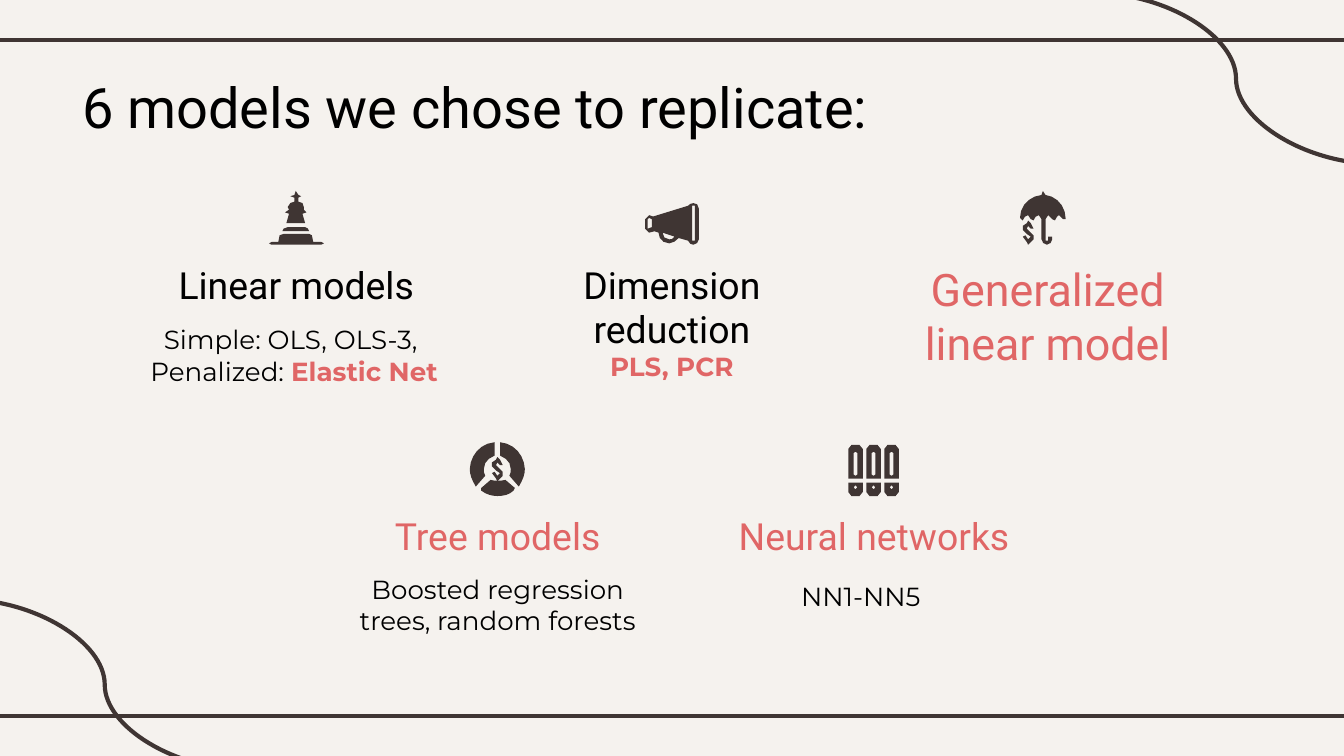
from pptx import Presentation
from pptx.dml.color import RGBColor
from pptx.enum.shapes import MSO_CONNECTOR
from pptx.enum.text import MSO_ANCHOR, MSO_AUTO_SIZE, PP_ALIGN
from pptx.oxml.ns import qn
from pptx.util import Cm, Pt

STRAIGHT, CURVE = MSO_CONNECTOR.STRAIGHT, MSO_CONNECTOR.CURVE
LEFT, CENTER = PP_ALIGN.LEFT, PP_ALIGN.CENTER
COLORS = {"paper": "F5F2EE", "ink": "3F3533", "text": "000000", "accent": "E06666"}
RGB = {name: RGBColor.from_string(value) for name, value in COLORS.items()}
TITLE = {"name": "Roboto", "size": Pt(30), "bold": False}
HEADING = {"name": "Roboto", "size": Pt(20), "bold": False}
LARGE = {"name": "Roboto", "size": Pt(24), "bold": False}
BODY = {"name": "Montserrat", "size": Pt(14), "bold": False}
STRONG = {"name": "Montserrat", "size": Pt(14), "bold": True}
FRAME = {"word_wrap": True, "auto_size": MSO_AUTO_SIZE.NONE, "vertical_anchor": MSO_ANCHOR.TOP,
         "margin_left": Cm(0.25), "margin_right": Cm(0.25),
         "margin_top": Cm(0.25), "margin_bottom": Cm(0.25)}
UNIT = Cm(2.54) / 100  # icon outlines: x from the icon's centre, y from its top

# Icon outlines: M move, L line, C cubic curve, Z close
KING = (
    "M -9 32 L -12 33 L -13 38 L -18 38 L -20 39 L -18 40 L 19 40 L 21 39 L 19 38 L 13 38 L 12 33 L 10 32 Z "
    "M 0 0 L -1 3 L -4 4 L -1 5 L -1 8 L -4 9 L -6 12 L -5 14 L -8 16 L -5 17 L -7 24 "
    "L 7 24 L 5 17 L 8 16 L 6 14 L 6 12 L 5 9 L 2 8 L 2 5 L 4 4 L 2 3 Z "
    "M -6 27 L -9 28 L -10 30 L 10 30 L 9 28 L 7 27 Z")
MEGAPHONE = (
    "M -17 20 L -15 21 L -15 27 L -18 28 L -18 21 Z "
    "M -7 31 L 2 34 C 1 36 -1 36 -2 36 C -5 36 -7 34 -7 31 Z "
    "M 15 11 L 17 11 L 17 37 L 15 37 Z "
    "M 16 9 C 14 9 13 10 12 11 L -14 19 L -17 18 C -19 18 -20 19 -20 21 L -20 28 "
    "C -20 30 -19 31 -17 31 L -13 30 L -10 31 C -10 35 -7 39 -2 39 C 1 39 3 37 5 35 L 12 37 "
    "C 13 39 14 40 16 40 C 18 40 20 38 20 36 L 20 13 C 20 10 18 9 16 9 Z")
UMBRELLA = (
    "M 0 0 L -1 3 C -10 4 -17 11 -17 20 L -15 22 C -14 20 -13 18 -11 18 C -10 18 -9 20 -9 21 L -7 22 "
    "C -6 20 -5 18 -3 18 C -2 18 -1 20 -1 21 L -1 36 C -1 38 1 40 3 40 C 5 40 7 38 7 36 "
    "L 7 34 L 4 34 L 4 37 L 2 37 L 2 21 C 2 20 3 18 4 18 C 6 18 7 20 7 21 L 9 22 "
    "C 10 20 11 18 12 18 C 14 18 15 20 15 21 L 17 21 C 17 11 10 4 2 3 Z")
DOLLAR = (
    "M 0 0 L -1 2 L -4 4 L -4 7 L -1 10 L 2 12 L 0 14 L -2 11 L -4 12 L -1 16 L 0 18 L 2 16 "
    "L 4 14 L 4 11 L -1 6 L 0 4 L 2 6 L 4 6 L 2 2 Z")
RING_SIDE = (
    "M 2 0 L 2 10 C 7 12 10 15 10 20 C 10 22 10 23 9 25 L 16 33 C 19 28 20.5 24 20.5 20 "
    "C 20 10 13 1 2 0 Z")
RING_BASE = (
    "M 6 28 C 3 29 -3 29 -5 28 L -12 34 L -12 36 C -8 39 -4 40 0 40 C 5 40 9 39 12 36 L 13 34 Z")
BINDER = (
    "M 0 32 L 1.4 33.5 L 0 35 L -1.4 33.5 Z "
    "M -5.4 30 L -5.4 37 L -3 40 L 3 40 L 5.4 37 L 5.4 30 Z "
    "M 0 7 L 1.4 8 L 1.4 24 L 0 25 L -1.4 24 L -1.4 8 Z "
    "M -3 2 L -5.4 5 L -5.4 27 L 5.4 27 L 5.4 5 L 3 2 Z")

# Each icon: centre, top, and its parts as (outline, x shift, y shift, mirror)
ROW_TOPS = (3.61, 8.36)
ICONS = [
    (5.59, ROW_TOPS[0], [(KING, 0, 0, 1)]),
    (12.7, ROW_TOPS[0], [(MEGAPHONE, 0, 0, 1)]),
    (19.71, ROW_TOPS[0], [(DOLLAR, -11, 22, 1), (UMBRELLA, 0, 0, 1)]),
    (9.4, ROW_TOPS[1], [(RING_SIDE, 0, 0, -1), (RING_BASE, 0, 0, 1), (RING_SIDE, 0, 0, 1),
                        (DOLLAR, 0, 11, 1)]),
    (16.51, ROW_TOPS[1], [(BINDER, shift, 0, 1) for shift in (-13.4, 0, 13.4)]),
]

# Each text: centre, top, width, height, paragraphs of (text, format, colour)
TEXTS = [
    (5.6, 4.7, 5.92, 1.24, [[("Linear models", HEADING, "text")]]),
    (5.56, 5.87, 6.25, 1.6, [[("Simple: OLS, OLS-3, ", BODY, "text")],
                             [("Penalized: ", BODY, "text"), ("Elastic Net", STRONG, "accent")]]),
    (12.7, 4.7, 5.92, 1.24, [[("Dimension reduction", HEADING, "text")]]),
    (12.7, 6.38, 5.92, 1.6, [[("PLS, PCR", STRONG, "accent")]]),
    (19.8, 4.7, 5.92, 1.24, [[("Generalized linear model", LARGE, "accent")]]),
    (9.41, 9.45, 5.92, 1.24, [[("Tree models", HEADING, "accent")]]),
    (9.41, 10.59, 5.92, 1.6, [[("Boosted regression trees, random forests", BODY, "text")]]),
    (16.52, 9.45, 5.92, 1.24, [[("Neural networks", HEADING, "accent")]]),
    (16.27, 10.72, 5.92, 1.6, [[("NN1-NN5", BODY, "text")]]),
]


def write_text(box, paragraphs, alignment):
    for key, value in FRAME.items():
        setattr(box.text_frame, key, value)
    for number, spans in enumerate(paragraphs):
        para = box.text_frame.add_paragraph() if number else box.text_frame.paragraphs[0]
        para.alignment = alignment
        for text, style, color in spans:
            span = para.add_run()
            span.text = text
            for key, value in style.items():
                setattr(span.font, key, value)
            span.font.color.rgb = RGB[color]


def draw_outline(group, center, top, outline, shift_x, shift_y, mirror):
    builder = None
    for contour in outline.split("M")[1:]:
        points = []
        for step in contour.replace("Z", "").replace("L", "|L").replace("C", "|C").split("|"):
            numbers = [float(word) for word in step.strip(" LC").split()]
            pairs = list(zip(numbers[::2], numbers[1::2]))
            if len(pairs) == 1:
                points += pairs
                continue
            a, (b, c, d) = points[-1], pairs
            # Longer curves get more segments
            count = 1 + int(max(abs(d[0] - a[0]), abs(d[1] - a[1])) // 4)
            for index in range(1, count + 1):
                t = index / count
                u = 1 - t
                points.append(tuple(u**3 * a[k] + 3*u*u*t * b[k] + 3*u*t*t * c[k] + t**3 * d[k]
                                    for k in (0, 1)))
        points = [(round(Cm(center) + (mirror * x + shift_x) * UNIT),
                   round(Cm(top) + (y + shift_y) * UNIT)) for x, y in points]
        if builder is None:
            builder = group.shapes.build_freeform(*points[0])
        else:
            builder.move_to(*points[0])
        builder.add_line_segments(points[1:], close=True)
    shape = builder.convert_to_shape()
    shape.shadow.inherit = False
    shape.fill.solid()
    shape.fill.fore_color.rgb = RGB["ink"]
    shape.line.fill.background()


deck = Presentation()
deck.slide_width, deck.slide_height = Cm(25.4), Cm(14.29)
page = deck.slides.add_slide(deck.slide_layouts[5])
page.background.fill.solid()
page.background.fill.fore_color.rgb = RGB["paper"]

# Border rules and corner curves
for kind, *ends in [(STRAIGHT, -0.2, 0.76, 25.6, 0.76), (STRAIGHT, -0.2, 13.54, 25.6, 13.54),
                    (CURVE, -0.69, 11.33, 4.65, 14.55), (CURVE, 20.68, -0.13, 26.04, 3.1)]:
    line = page.shapes.add_connector(kind, *[Cm(end) for end in ends])
    line.line.color.rgb = RGB["ink"]
    line.line.width = Pt(2.25)
    properties = line._element.spPr
    properties.append(properties.makeelement(qn("a:effectLst"), {}))

# Title
title = page.shapes.title
title.left, title.top, title.width, title.height = Cm(1.3), Cm(1.12), Cm(18.49), Cm(1.6)
write_text(title, [[("6 models we chose to replicate:", TITLE, "text")]], LEFT)

# Model families
for center, top, width, height, paragraphs in TEXTS:
    box = page.shapes.add_textbox(Cm(center - width / 2), Cm(top), Cm(width), Cm(height))
    write_text(box, paragraphs, CENTER)

# Icons
for center, top, parts in ICONS:
    icon = page.shapes.add_group_shape()
    for part in parts:
        draw_outline(icon, center, top, *part)

deck.save("out.pptx")
